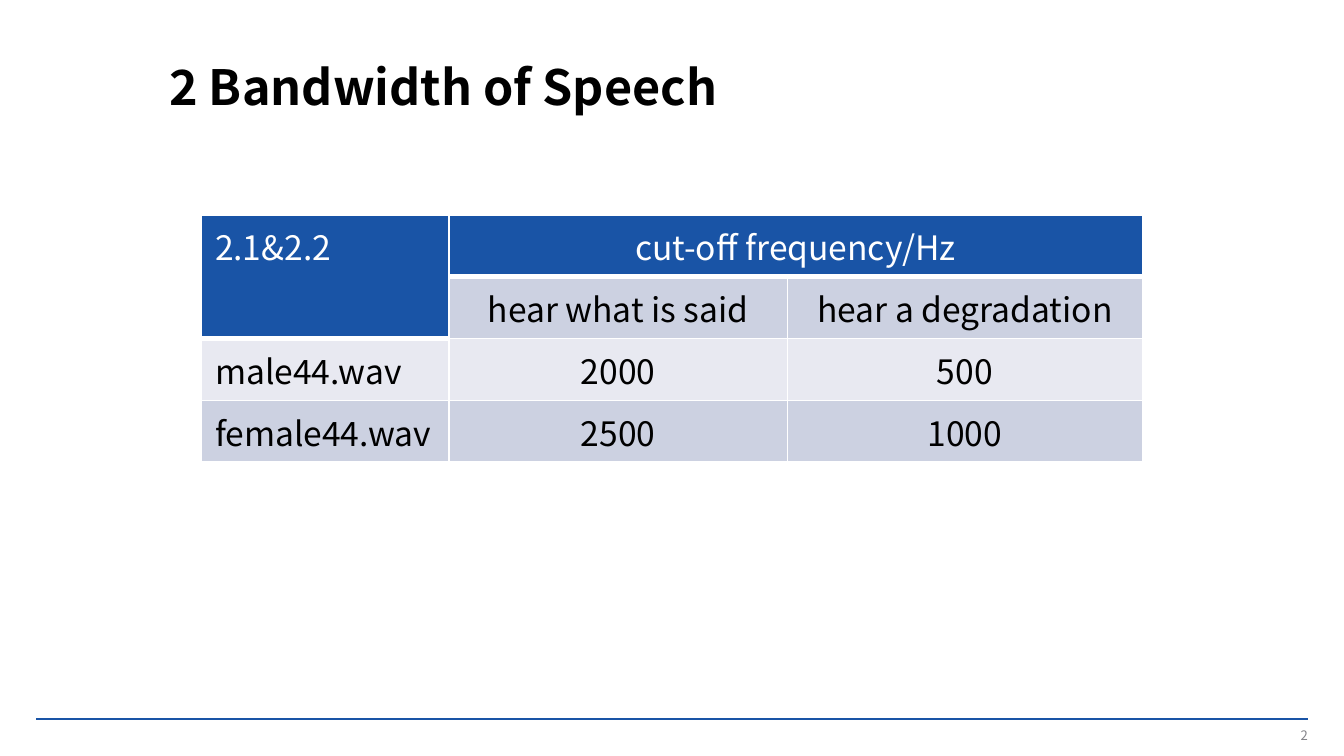
from lxml.etree import SubElement
from pptx import Presentation
from pptx.dml.color import RGBColor
from pptx.enum.text import MSO_ANCHOR as Anchor, PP_ALIGN as Align
from pptx.oxml.ns import qn
from pptx.util import Inches, Pt

FONT = "Noto Sans CJK SC"
BLUE = RGBColor(0x19, 0x54, 0xA6)
GREY = RGBColor(0x84, 0x84, 0x89)
DARK_BAND = RGBColor(0xCC, 0xD1, 0xE1)
LIGHT_BAND = RGBColor(0xE8, 0xE9, 0xF1)
BLACK = RGBColor(0, 0, 0)
WHITE = RGBColor(255, 255, 255)

# Content
TITLE = "2 Bandwidth of Speech"
PAGE_NUMBER = "2"
ROWS = [
    ["2.1&2.2", "cut-off frequency/Hz", ""],
    ["", "hear what is said", "hear a degradation"],
    ["male44.wav", "2000", "500"],
    ["female44.wav", "2500", "1000"],
]
ROW_FILLS = [BLUE, DARK_BAND, LIGHT_BAND, DARK_BAND]
COLUMN_WIDTHS = [1.84, 2.52, 2.64]
ROW_HEIGHT = 0.46


def format_text(paragraph, size, color, bold=False, align=Align.LEFT):
    paragraph.alignment = align
    for run in paragraph.runs:
        font = run.font
        font.name, font.size, font.bold = FONT, Pt(size), bold
        font.color.rgb = color


def place(shape, left, top, width, height):
    shape.left, shape.top = Inches(left), Inches(top)
    shape.width, shape.height = Inches(width), Inches(height)


def add_border(cell, side, points):
    properties = cell._tc.get_or_add_tcPr()
    line = SubElement(properties, qn(f"a:ln{side}"), w=str(Pt(points)))
    fill = SubElement(line, qn("a:solidFill"))
    SubElement(fill, qn("a:srgbClr"), val=str(WHITE))


# Widescreen slide, 16:9
presentation = Presentation()
presentation.slide_width = Inches(10)
presentation.slide_height = Inches(10) * 9 // 16
slide = presentation.slides.add_slide(presentation.slide_layouts[5])

# Footer rule
rule = slide.shapes.add_connector(1, Inches(0.27), Inches(5.35), Inches(9.73), Inches(5.35))
rule.line.color.rgb = BLUE
rule.line.width = Pt(1)
SubElement(rule._element.spPr, qn("a:effectLst"))

# Title
title = slide.shapes.title
place(title, 1.16, 0.28, 8.26, 0.74)
title.text_frame.text = TITLE
title.text_frame.vertical_anchor = Anchor.MIDDLE
title.text_frame.paragraphs[0].line_spacing = Pt(30)
format_text(title.text_frame.paragraphs[0], 26, BLACK, bold=True)

# Page number
number = slide.shapes.add_textbox(Inches(7.48), Inches(5.41), Inches(2.25), Inches(0.13))
frame = number.text_frame
frame.word_wrap = True
frame.vertical_anchor = Anchor.MIDDLE
frame.margin_left = frame.margin_right = frame.margin_top = frame.margin_bottom = 0
frame.text = PAGE_NUMBER
format_text(frame.paragraphs[0], 7, GREY, align=Align.RIGHT)

# Table with a two-row header
table = slide.shapes.add_table(
    len(ROWS), len(COLUMN_WIDTHS), Inches(1.5), Inches(1.6),
    Inches(sum(COLUMN_WIDTHS)), Inches(ROW_HEIGHT * len(ROWS))).table
for column, width in zip(table.columns, COLUMN_WIDTHS):
    column.width = Inches(width)
for row in table.rows:
    row.height = Inches(ROW_HEIGHT)
table.cell(0, 0).merge(table.cell(1, 0))
table.cell(0, 1).merge(table.cell(0, 2))

for r, texts in enumerate(ROWS):
    for c, text in enumerate(texts):
        cell = table.cell(r, c)
        header_end = 1 if c == 0 else 0
        for side in "LRTB":
            thick = (side == "B" and r <= header_end) or (side == "T" and r == header_end + 1)
            add_border(cell, side, 3 if thick else 1)
        is_header = r <= header_end
        cell.fill.solid()
        cell.fill.fore_color.rgb = BLUE if is_header else ROW_FILLS[r]
        if text:
            cell.text_frame.text = text
            format_text(cell.text_frame.paragraphs[0], 18, WHITE if is_header else BLACK,
                        align=Align.CENTER if c else Align.LEFT)

presentation.save("out.pptx")
